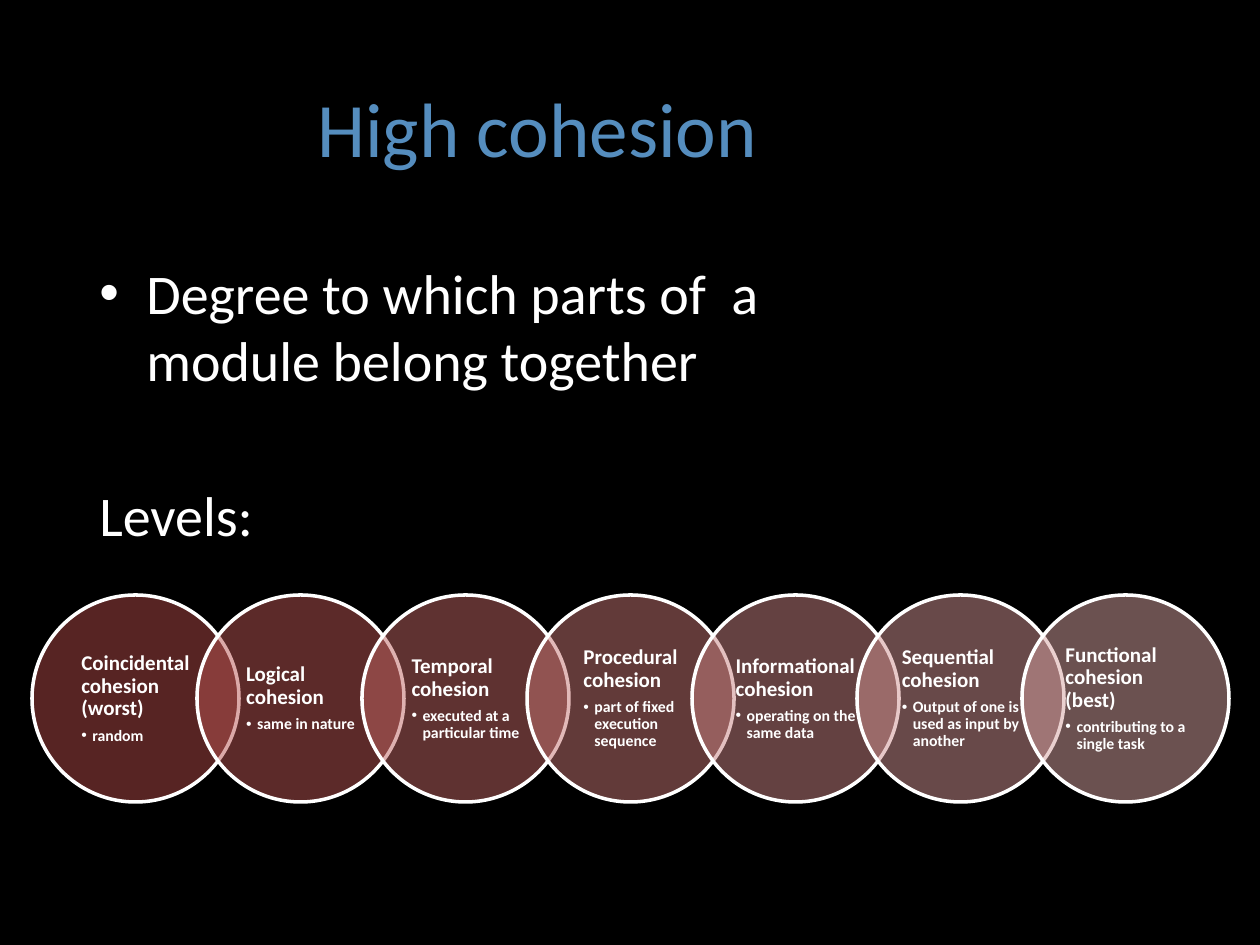
from dataclasses import dataclass

from pptx import Presentation
from pptx.dml.color import RGBColor
from pptx.enum.shapes import MSO_SHAPE
from pptx.enum.text import MSO_ANCHOR, PP_ALIGN
from pptx.oxml.ns import qn
from pptx.util import Emu, Pt
from lxml.etree import SubElement

PX_PER_INCH = 126


@dataclass(frozen=True)
class Theme:
    font: str = "Calibri"
    background: str = "000000"
    title: str = "558DBE"
    text: str = "FFFFFF"
    title_size: int = 44
    body_size: int = 32
    level_size: int = 12
    detail_size: int = 9
    circles: tuple = ("AE4946", "B85452", "BE6462", "C47472", "C98382", "D09392", "D6A2A1")


THEME = Theme()

LEVELS = [
    ("Coincidental cohesion (worst)", "random"),
    ("Logical cohesion", "same in nature"),
    ("Temporal cohesion", "executed at a particular time"),
    ("Procedural cohesion", "part of fixed execution sequence"),
    ("Informational cohesion", "operating on the same data"),
    ("Sequential cohesion", "Output of one is used as input by another"),
    ("Functional cohesion (best)", "contributing to a single task"),
]


def px(length):
    return Emu(round(length * 914400 / PX_PER_INCH))


def add_para(frame, text, size, color=THEME.text, bold=False, indent=0,
             before=0, after=0, line=1.0):
    first = frame.paragraphs[0]
    para = frame.add_paragraph() if first.runs else first
    para.alignment = PP_ALIGN.LEFT
    para.line_spacing = line
    para.space_before = Pt(before)
    para.space_after = Pt(after)
    if indent:
        properties = para._p.get_or_add_pPr()
        properties.set("marL", str(px(indent)))
        properties.set("indent", str(-px(indent)))
        SubElement(properties, qn("a:buFont"), typeface="Arial")
        SubElement(properties, qn("a:buChar"), char="•")
    span = para.add_run()
    span.text = text
    span.font.name = THEME.font
    span.font.size = Pt(size)
    span.font.bold = bold
    span.font.color.rgb = RGBColor.from_string(color)


def add_text_box(page, left, top, width, height, anchor=MSO_ANCHOR.TOP):
    frame = page.shapes.add_textbox(px(left), px(top), px(width), px(height)).text_frame
    frame.word_wrap = True
    frame.vertical_anchor = anchor
    return frame


def add_title(page, left, top, width, height):
    frame = add_text_box(page, left, top, width, height, MSO_ANCHOR.BOTTOM)
    add_para(frame, "High cohesion", THEME.title_size, color=THEME.title)


def add_body(page, left, top, width, height):
    frame = add_text_box(page, left, top, width, height)
    add_para(frame, "Degree to which parts of  a module belong together",
             THEME.body_size, indent=47)
    add_para(frame, "Levels:", THEME.body_size, before=50)


def add_circle(page, left, top, diameter, color, level, detail):
    circle = page.shapes.add_shape(MSO_SHAPE.OVAL, px(left), px(top), px(diameter), px(diameter))
    circle.shadow.inherit = False
    circle.fill.solid()
    circle.fill.fore_color.rgb = RGBColor.from_string(color)
    fill_color = circle._element.spPr.find(qn("a:solidFill"))[0]
    SubElement(fill_color, qn("a:alpha"), val="50000")
    circle.line.color.rgb = RGBColor.from_string(THEME.text)
    circle.line.width = Pt(2)

    frame = circle.text_frame
    frame.word_wrap = True
    frame.vertical_anchor = MSO_ANCHOR.MIDDLE
    frame._txBody.bodyPr.set("anchorCtr", "1")
    frame.margin_left = frame.margin_right = px(11)
    frame.margin_top = frame.margin_bottom = px(2)
    add_para(frame, level, THEME.level_size, bold=True, after=4, line=0.9)
    add_para(frame, detail, THEME.detail_size, bold=True, indent=11, after=1, line=0.9)


def add_level_chain(page, left, top, width, diameter):
    step = (width - diameter) / (len(LEVELS) - 1)
    for index, ((level, detail), color) in enumerate(zip(LEVELS, THEME.circles)):
        add_circle(page, left + index * step, top, diameter, color, level, detail)


def main():
    deck = Presentation()
    deck.slide_width = px(1260)
    deck.slide_height = px(945)
    page = deck.slides.add_slide(deck.slide_layouts[6])
    page.background.fill.solid()
    page.background.fill.fore_color.rgb = RGBColor.from_string(THEME.background)
    add_title(page, 305, 25, 892, 154)
    add_body(page, 87, 252, 816, 600)
    add_level_chain(page, 32, 595, 1197, 207)
    deck.save("out.pptx")


if __name__ == "__main__":
    main()
